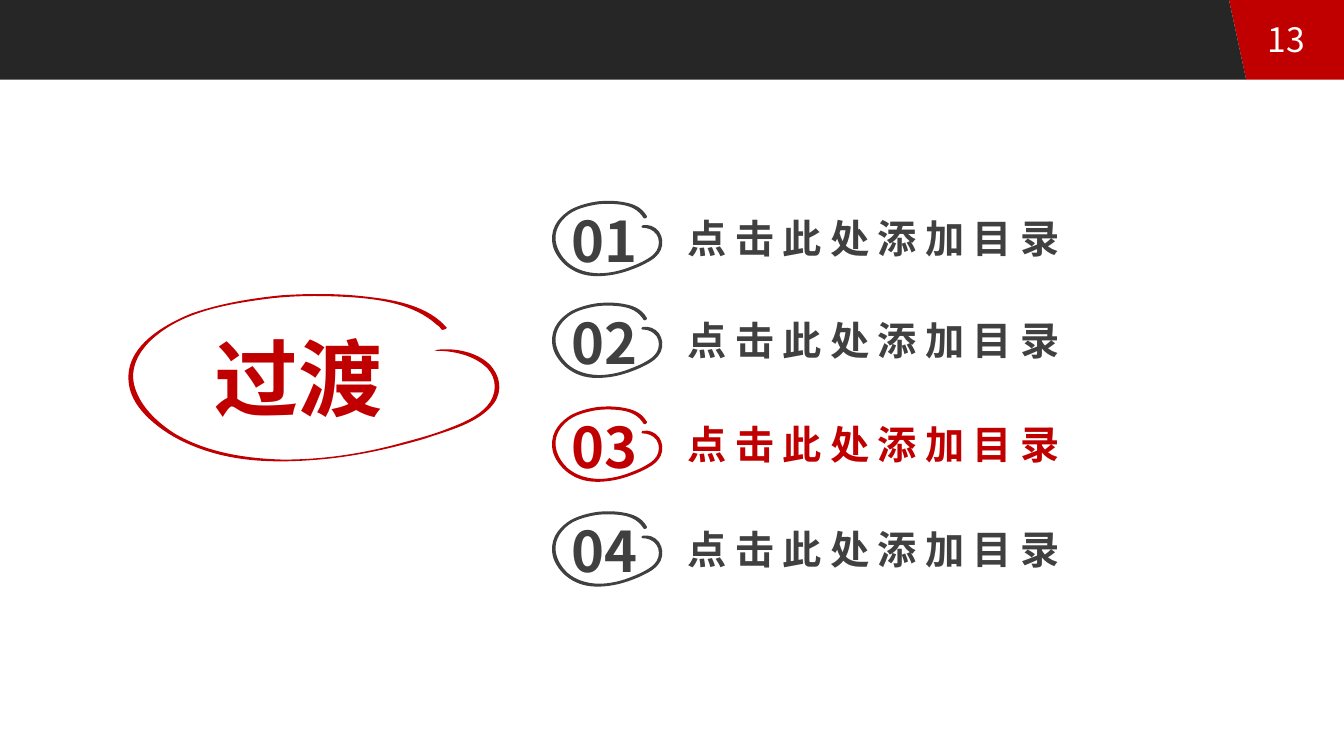
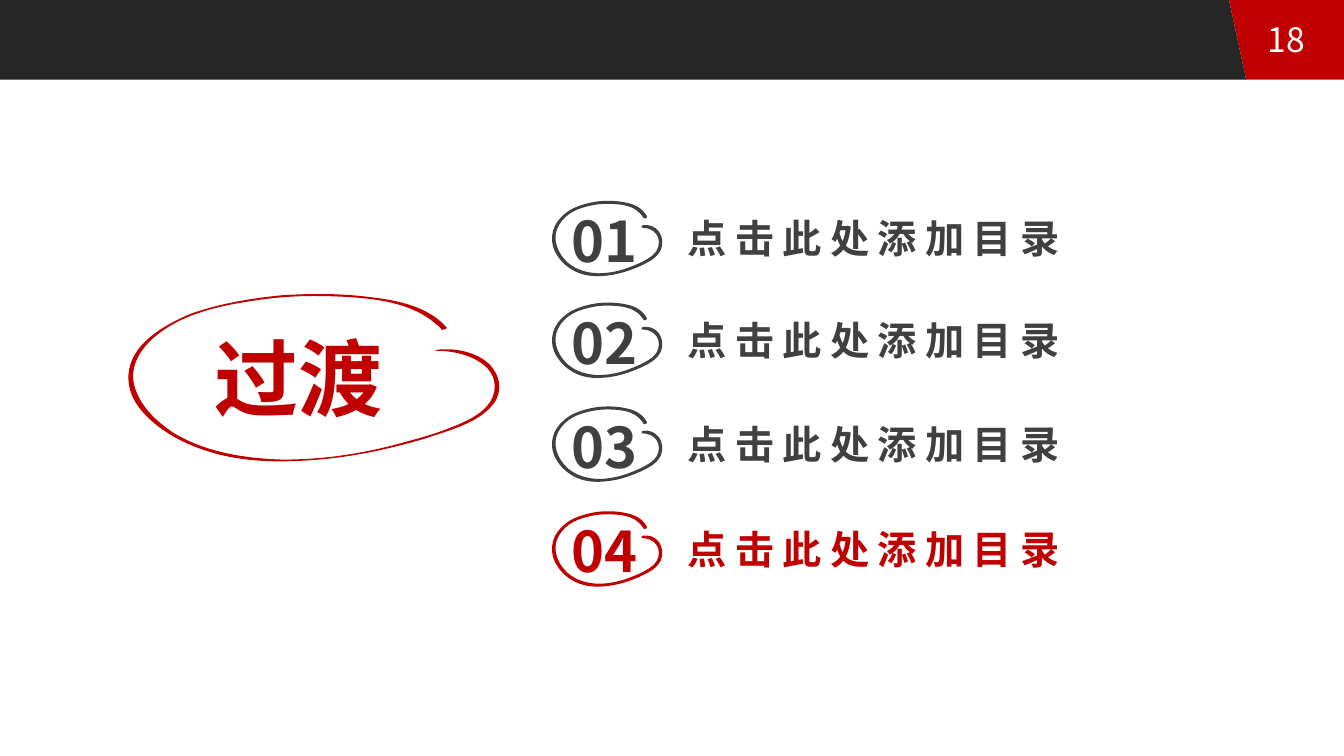
import pptx
import pptx.util
import pptx.dml.color
import pptx.enum.text
import pptx.oxml.ns
import lxml.etree
from dataclasses import dataclass

# Content: page number and the active row of each slide
TITLE = "过渡"
ITEMS = ["点击此处添加目录"] * 4
SLIDES = [("13", 3), ("18", 4)]


@dataclass(frozen=True)
class Theme:
    font: str = "Noto Sans CJK SC"
    red: str = "C00000"
    dark: str = "262626"
    gray: str = "404040"
    white: str = "FFFFFF"
    title: int = 60
    number: int = 40
    label: int = 28
    page: int = 24
    track: int = 6
    line: float = 1.5


THEME = Theme()

# Layout in px, 100 to the inch
PX = 9144
WIDE, HIGH = 1333, 750
BAND, SLANT, FOOT = 79, 1219, 1236
RING = (122, 291, 377, 169)
ROWS = [200, 301, 404, 508]

# Hand-drawn ring: start point, then cubic curves (two handles and an end)
START = (443, 325)
CURVES = [
    ((425, 304), (394, 298), (369, 295)),
    ((339, 291), (309, 291), (279, 293)),
    ((249, 296), (219, 301), (190, 311)),
    ((161, 323), (122, 345), (128, 382)),
    ((131, 401), (147, 416), (161, 426)),
    ((175, 436), (191, 443), (207, 448)),
    ((242, 459), (280, 459), (316, 456)),
    ((352, 453), (388, 445), (422, 435)),
    ((445, 427), (475, 420), (490, 400)),
    ((499, 387), (496, 372), (485, 361)),
    ((472, 349), (451, 345), (434, 347)),
    ((433, 347), (429, 349), (432, 348)),
    ((449, 348), (469, 352), (482, 364)),
    ((494, 375), (493, 392), (483, 403)),
    ((473, 414), (458, 420), (445, 425)),
    ((430, 431), (415, 435), (400, 439)),
    ((361, 450), (321, 456), (281, 456)),
    ((244, 455), (205, 449), (173, 430)),
    ((156, 419), (140, 404), (134, 385)),
    ((127, 364), (140, 345), (155, 333)),
    ((184, 309), (225, 302), (261, 297)),
    ((290, 293), (320, 293), (350, 295)),
    ((378, 297), (411, 302), (433, 322)),
    ((435, 323), (437, 325), (438, 327)),
    ((439, 328), (444, 326), (443, 325)),
]


def rgb(color):
    return pptx.dml.color.RGBColor.from_string(color)


def draw(slide, points, color, line=None):
    points = [(x * PX, y * PX) for x, y in points]
    pen = slide.shapes.build_freeform(*points[0])
    pen.add_line_segments(points[1:], close=True)
    shape = pen.convert_to_shape()
    shape.shadow.inherit = False
    shape.fill.solid()
    shape.fill.fore_color.rgb = rgb(color)
    if line:
        shape.line.color.rgb = rgb(color)
        shape.line.width = pptx.util.Pt(line)
    else:
        shape.line.fill.background()
    return shape


def bend(shape):
    """Turn each three straight segments into one cubic curve."""
    qn = pptx.oxml.ns.qn
    lines = list(shape._element.iter(qn("a:lnTo")))
    for first in range(0, len(lines), 3):
        trio = lines[first:first + 3]
        curve = lxml.etree.Element(qn("a:cubicBezTo"))
        trio[0].addprevious(curve)
        for part in trio:
            curve.append(part[0])
            part.getparent().remove(part)


def ring(slide, box, color, line=None):
    """Fit the ring into a box."""
    left, top, width, height = box
    x0, y0, w0, h0 = RING
    points = [START] + [point for curve in CURVES for point in curve]
    bend(draw(slide, [(left + (x - x0) * width / w0,
                       top + (y - y0) * height / h0)
                      for x, y in points], color, line))


def write(slide, box, text, size, color, bold=True, wrap=True, grow=True,
          track=0):
    area = slide.shapes.add_textbox(*(v * PX for v in box))
    frame = area.text_frame
    frame.word_wrap = wrap
    if grow:
        frame.auto_size = pptx.enum.text.MSO_AUTO_SIZE.SHAPE_TO_FIT_TEXT
    para = frame.paragraphs[0]
    run = para.add_run()
    run.text = text
    font = run.font
    font.size = pptx.util.Pt(size)
    font.bold = bold
    font.name = THEME.font
    font.color.rgb = rgb(color)
    # East Asian font and letter spacing
    props = font._element
    east = lxml.etree.SubElement(props, pptx.oxml.ns.qn("a:ea"))
    east.set("typeface", THEME.font)
    if track:
        props.set("spc", str(track * 100))
    return frame


def header(slide, page):
    draw(slide, [(SLANT, 0), (WIDE, 0), (WIDE, BAND), (FOOT, BAND)], THEME.red)
    draw(slide, [(0, 0), (SLANT, 0), (FOOT, BAND), (0, BAND)], THEME.dark)
    frame = write(slide, (1241, 19, 70, 40), page, THEME.page, THEME.white,
                  bold=False, grow=False)
    frame.vertical_anchor = pptx.enum.text.MSO_ANCHOR.MIDDLE
    frame.paragraphs[0].alignment = pptx.enum.text.PP_ALIGN.CENTER


def build(deck, page, active):
    slide = deck.slides.add_slide(deck.slide_layouts[6])
    header(slide, page)

    # Section title
    ring(slide, RING, THEME.red)
    write(slide, (203, 319, 188, 111), TITLE, THEME.title, THEME.red,
          wrap=False)

    # Contents list
    for index, (top, item) in enumerate(zip(ROWS, ITEMS), 1):
        color = THEME.red if index == active else THEME.gray
        ring(slide, (547, top, 110, 74), color, THEME.line)
        write(slide, (557, top, 89, 77), f"{index:02}", THEME.number, color)
        write(slide, (672, top + 8, 481, 57), item, THEME.label, color,
              track=THEME.track)


def main():
    deck = pptx.Presentation()
    deck.slide_width, deck.slide_height = WIDE * PX, HIGH * PX
    for page, active in SLIDES:
        build(deck, page, active)
    deck.save("out.pptx")


if __name__ == "__main__":
    main()
